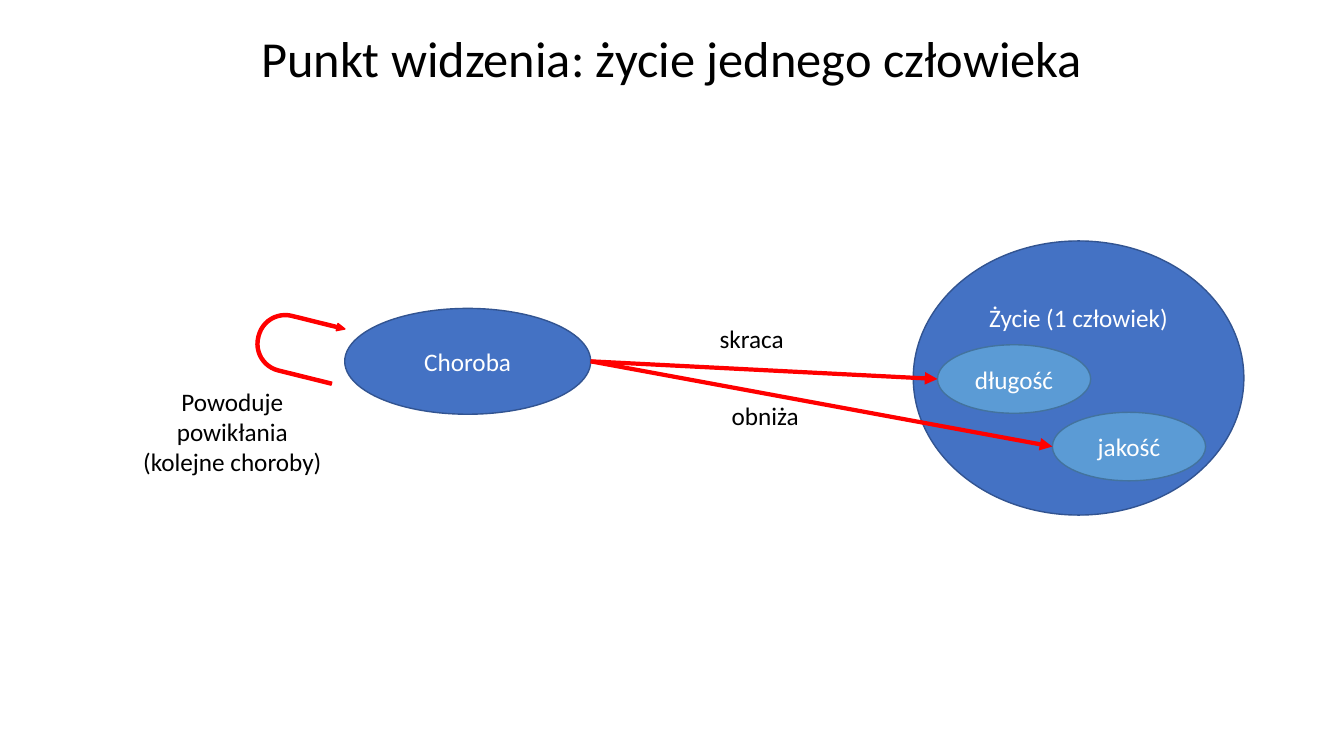
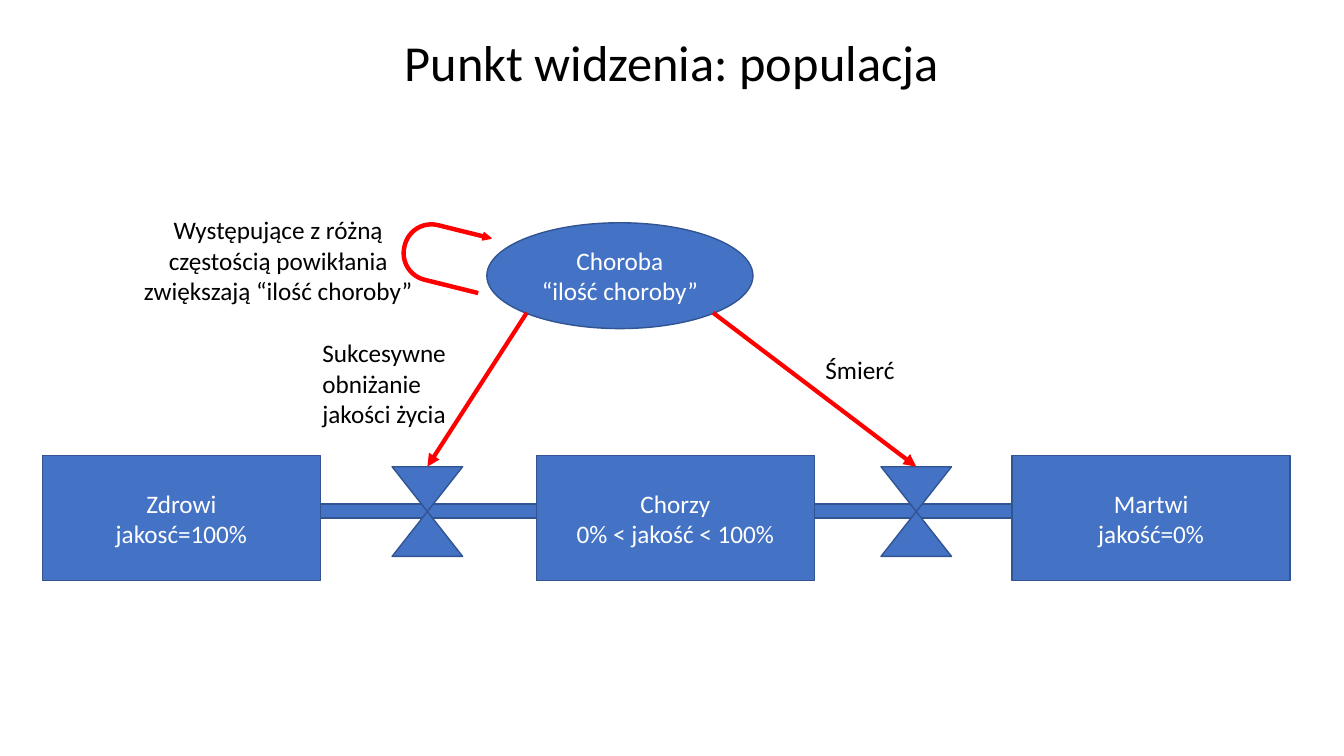
from collections import namedtuple

from lxml.etree import SubElement
from pptx import Presentation
from pptx.dml.color import RGBColor
from pptx.enum.shapes import MSO_CONNECTOR, MSO_SHAPE
from pptx.enum.text import MSO_ANCHOR, MSO_AUTO_SIZE, PP_ALIGN
from pptx.oxml.ns import qn
from pptx.util import Inches, Pt

CELL = 0.1
COLUMNS, ROWS = 133.33, 75
FONT = "Calibri"
BLACK, WHITE, RED = "000000", "FFFFFF", "FF0000"
BLUE, BLUE_EDGE = "4472C4", "325491"
LIGHT, LIGHT_EDGE = "5B9BD5", "43739E"
ARC_NEAR, ARC_FAR = 0.15, 0.85

Box = namedtuple("Box", "left top width height")


def grid(cells):
    return Inches(cells * CELL)


def color(value):
    return RGBColor.from_string(value)


def inside(box, left, top, width, height):
    return Box(box.left + left, box.top + top, width, height)


def point(box, across, down):
    return box.left + box.width * across, box.top + box.height * down


def write(shape, text, size=18, ink=BLACK, align=PP_ALIGN.CENTER):
    frame = shape.text_frame
    frame.text = text
    for paragraph in frame.paragraphs:
        paragraph.alignment = align
        paragraph.font.name = FONT
        paragraph.font.size = Pt(size)
        paragraph.font.color.rgb = color(ink)
    return frame


def add_title(slide, text, top):
    title = slide.shapes.title
    title.left, title.top = 0, grid(top)
    title.width, title.height = grid(COLUMNS), grid(7.1)
    frame = write(title, text, size=36)
    frame.vertical_anchor = MSO_ANCHOR.MIDDLE
    frame.auto_size = MSO_AUTO_SIZE.NONE


def add_figure(slide, kind, box, text="", fill=BLUE, edge=BLUE_EDGE):
    shape = slide.shapes.add_shape(kind, *map(grid, box))
    shape.shadow.inherit = False
    shape.fill.solid()
    shape.fill.fore_color.rgb = color(fill)
    shape.line.color.rgb = color(edge)
    shape.line.width = Pt(1)
    if text:
        write(shape, text, ink=WHITE).vertical_anchor = MSO_ANCHOR.MIDDLE
    return shape


def add_label(slide, box, text, align=PP_ALIGN.LEFT):
    label = slide.shapes.add_textbox(*map(grid, box))
    write(label, text, align=align).word_wrap = False


def add_arrow(slide, start, end):
    arrow = slide.shapes.add_connector(
        MSO_CONNECTOR.STRAIGHT, *map(grid, (*start, *end)))
    arrow.line.color.rgb = color(RED)
    arrow.line.width = Pt(3)
    properties = arrow.element.spPr
    SubElement(properties.find(qn("a:ln")), qn("a:tailEnd"), type="triangle")
    SubElement(properties, qn("a:effectLst"))


def draw_disease(slide, box, text, loop_left, loop_top):
    add_figure(slide, MSO_SHAPE.OVAL, box, text)
    loop = add_figure(slide, MSO_SHAPE.U_TURN_ARROW,
                      inside(box, loop_left, loop_top, 6.1, 8.3),
                      fill=RED, edge=RED)
    loop.rotation = 283.9
    for index, value in enumerate((0.05, 0.06, 0.13, 0.47, 1)):
        loop.adjustments[index] = value


def draw_life(slide, box):
    life = add_figure(slide, MSO_SHAPE.OVAL, box, "Życie (1 człowiek)")
    life.text_frame.margin_bottom = grid(12.5)
    aspects = []
    for text, left, top in (("długość", 2.4, 10.3), ("jakość", 13.8, 17)):
        aspect = inside(box, left, top, 15.2, 6.8)
        add_figure(slide, MSO_SHAPE.OVAL, aspect, text, LIGHT, LIGHT_EDGE)
        aspects.append(aspect)
    return aspects


def draw_flow(slide, box):
    stock_width = 27.6
    stocks = (("Zdrowi\vjakosć=100%", 0),
              ("Chorzy\v0% < jakość < 100%", 49),
              ("Martwi\vjakość=0%", box.width - stock_width))
    add_figure(slide, MSO_SHAPE.RECTANGLE,
               inside(box, stock_width / 2, 4.8, box.width - stock_width, 1.4))
    for text, left in stocks:
        add_figure(slide, MSO_SHAPE.RECTANGLE,
                   inside(box, left, 0, stock_width, box.height), text)
    valves = [inside(box, left, 1.1, 7, 8.9) for left in (34.7, 83.2)]
    for valve in valves:
        add_figure(slide, MSO_SHAPE.FLOWCHART_COLLATE, valve)
    return valves


def build_person_slide(slide):
    add_title(slide, "Punkt widzenia: życie jednego człowieka", 2.1)
    disease = Box(34.2, 30.6, 24.4, 10.5)
    aspects = draw_life(slide, Box(90.6, 23.9, 32.8, 27.2))
    draw_disease(slide, disease, "Choroba", -7.7, -0.5)
    for aspect in aspects:
        add_arrow(slide, point(disease, 1, 0.5), point(aspect, 0, 0.5))
    add_label(slide, Box(70.4, 31.6, 8.4, 4), "skraca")
    add_label(slide, Box(71.6, 39.2, 8.8, 4), "obniża")
    add_label(slide, Box(13.1, 37.8, 19.9, 10.1),
              "Powoduje\vpowikłania\v(kolejne choroby)", PP_ALIGN.CENTER)


def build_population_slide(slide):
    add_title(slide, "Punkt widzenia: populacja", 2.5)
    disease = Box(48.3, 22.1, 26.4, 10.5)
    valves = draw_flow(slide, Box(4.2, 45.2, 123.8, 12.4))
    draw_disease(slide, disease, "Choroba\n“ilość choroby”", -7.3, -1)
    for valve, across in zip(valves, (ARC_NEAR, ARC_FAR)):
        add_arrow(slide, point(disease, across, ARC_FAR), point(valve, 0.5, 0))
    add_label(slide, Box(31, 33, 15, 10.1),
              "Sukcesywne\vobniżanie\vjakości życia")
    add_label(slide, Box(80.9, 34.7, 8.9, 4), "Śmierć")
    add_label(slide, Box(13.2, 20.8, 28.8, 10.1),
              "Występujące z różną\vczęstością powikłania\v"
              "zwiększają “ilość choroby”", PP_ALIGN.CENTER)


def main():
    presentation = Presentation()
    presentation.slide_width = grid(COLUMNS)
    presentation.slide_height = grid(ROWS)
    title_only = presentation.slide_layouts[5]
    for build in (build_person_slide, build_population_slide):
        build(presentation.slides.add_slide(title_only))
    presentation.save("out.pptx")


if __name__ == "__main__":
    main()
